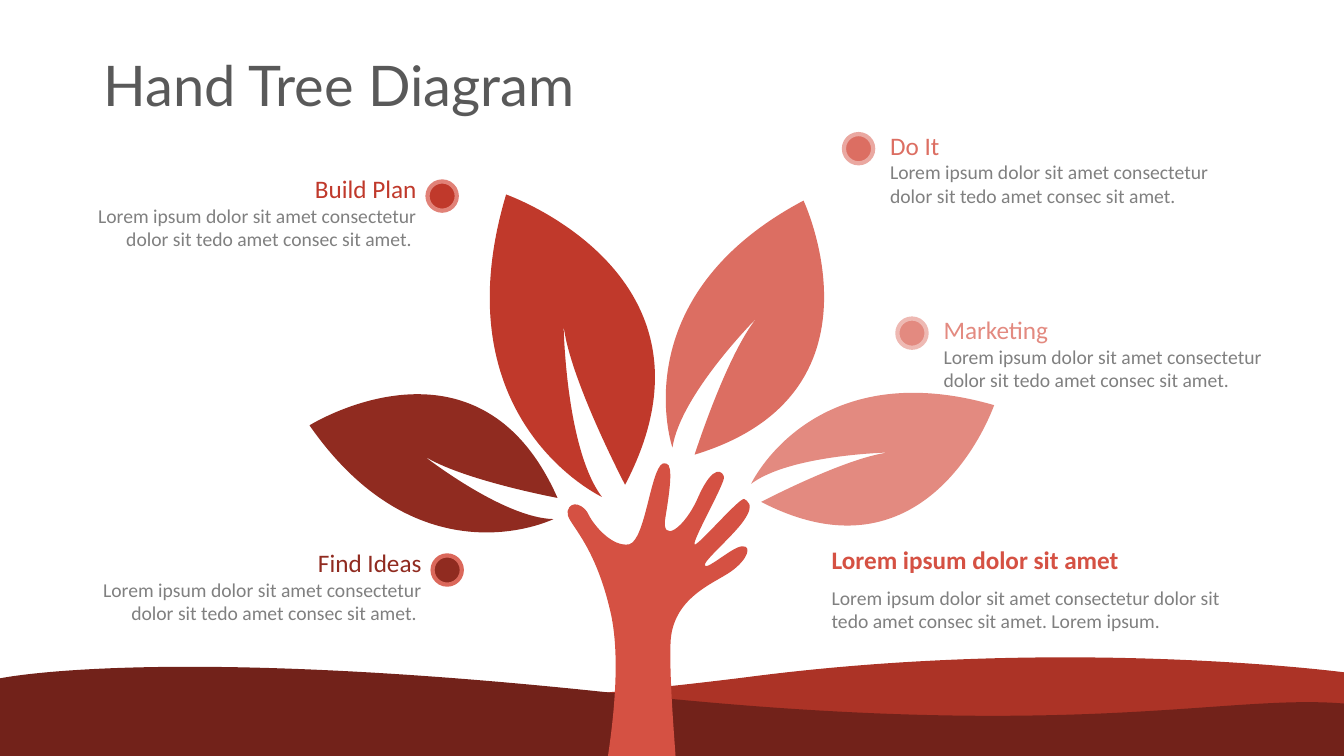
from dataclasses import dataclass

from lxml import etree
from pptx import Presentation
from pptx.dml.color import RGBColor
from pptx.enum.shapes import MSO_SHAPE
from pptx.enum.text import MSO_ANCHOR, MSO_AUTO_SIZE, PP_ALIGN
from pptx.oxml.ns import qn
from pptx.util import Inches, Pt


@dataclass(frozen=True)
class Theme:
    title_font: str = "Lato"
    body_font: str = "Calibri"
    title_size: int = 40
    head_size: int = 18
    body_size: int = 14
    title: str = "595959"
    body: str = "808080"
    far_hill: str = "AC3326"
    near_hill: str = "72221A"
    hand: str = "D55143"
    find: str = "902B20"
    find_ring: str = "DB685B"
    build: str = "C0392B"
    build_ring: str = "E18278"
    do_it: str = "DC6E62"
    do_it_ring: str = "EAA8A1"
    market: str = "E38A80"
    market_ring: str = "EEB9B3"


def bezier(p0, p1, p2, p3, t):
    u = 1 - t
    return tuple(u**3 * a + 3 * u * u * t * b + 3 * u * t * t * c + t**3 * d
                 for a, b, c, d in zip(p0, p1, p2, p3))


class TreeSlide:
    def __init__(self, slide, theme):
        self.shapes = slide.shapes
        self.theme = theme

    def paint(self, sp, color):
        sp.shadow.inherit = False
        sp.fill.solid()
        sp.fill.fore_color.rgb = RGBColor.from_string(color)
        sp.line.fill.background()

    def outline(self, color, start, curves, corners=()):
        """Draw a closed outline: cubic curves (two controls, end), then straight corners."""
        points, last = [], start
        for c1, c2, end in curves:
            points += [bezier(last, c1, c2, end, i / 24) for i in range(1, 25)]
            last = end
        points += corners
        builder = self.shapes.build_freeform(*map(Inches, start))
        builder.add_line_segments([(Inches(x), Inches(y)) for x, y in points], close=True)
        sp = builder.convert_to_shape()
        self.paint(sp, color)

        # The sampled points fix the frame; true curves now replace them.
        path_el = next(sp.element.iter(qn("a:path")))
        for node in list(path_el)[1:]:
            path_el.remove(node)
        steps = [("a:cubicBezTo", curve) for curve in curves]
        steps += [("a:lnTo", (corner,)) for corner in corners]
        for tag, ends in steps:
            node = etree.SubElement(path_el, qn(tag))
            for x, y in ends:
                etree.SubElement(node, qn("a:pt"), x=str(Inches(x) - sp.left),
                                 y=str(Inches(y) - sp.top))
        etree.SubElement(path_el, qn("a:close"))

    def leaf(self, color, base, *arcs):
        """Draw a leaf; each arc is (control, end) and leaves its start straight."""
        curves, last = [], base
        for control, end in arcs:
            curves.append((last, control, end))
            last = end
        self.outline(color, base, curves)

    def dot(self, left, top, color, ring):
        size = Inches(0.29)
        sp = self.shapes.add_shape(MSO_SHAPE.OVAL, Inches(left), Inches(top), size, size)
        self.paint(sp, color)
        sp.line.color.rgb = RGBColor.from_string(ring)
        sp.line.width = Pt(3)

    def text(self, box, words, size, color, font=None, bold=False, align=PP_ALIGN.LEFT):
        tf = self.shapes.add_textbox(*map(Inches, box)).text_frame
        tf.word_wrap = True
        tf.auto_size = MSO_AUTO_SIZE.SHAPE_TO_FIT_TEXT
        p = tf.paragraphs[0]
        p.alignment = align
        r = p.add_run()
        r.text = words
        r.font.name = font or self.theme.body_font
        r.font.size = Pt(size)
        r.font.bold = bold
        r.font.color.rgb = RGBColor.from_string(color)
        return tf

    def title(self, words):
        t = self.theme
        tf = self.text((0.93, 0.55, 11.56, 0.65), words, t.title_size, t.title, t.title_font)
        tf.auto_size = MSO_AUTO_SIZE.NONE
        tf.vertical_anchor = MSO_ANCHOR.MIDDLE
        tf.paragraphs[0].line_spacing = 0.9

    def note(self, left, top, head, body, color, width=3.5, gap=0.3, bold=False,
             align=PP_ALIGN.LEFT):
        t = self.theme
        self.text((left, top, width, 0.4), head, t.head_size, color, bold=bold, align=align)
        self.text((left, top + gap, width, 0.57), body, t.body_size, t.body, align=align)

    def left_note(self, left, top, head, body, color, ring):
        self.dot(left + 3.51, top + 0.13, color, ring)
        self.note(left, top, head, body, color, align=PP_ALIGN.RIGHT)

    def right_note(self, left, top, head, body, color, ring):
        self.dot(left - 0.36, top + 0.09, color, ring)
        self.note(left, top, head, body, color)


HAND_CURVES = [
    ((6.68, 4.61), (6.64, 4.89), (6.6, 5.13)),
    ((6.55, 5.4), (6.79, 5.25), (6.93, 4.92)),
    ((7.08, 4.59), (7.17, 4.68), (7.18, 4.73)),
    ((7.2, 4.78), (6.86, 5.37), (6.89, 5.4)),
    ((6.91, 5.43), (7.33, 4.94), (7.38, 4.95)),
    ((7.41, 4.97), (7.49, 5), (7.38, 5.16)),
    ((7.28, 5.31), (6.97, 5.57), (6.99, 5.61)),
    ((7.01, 5.66), (7.27, 5.42), (7.36, 5.42)),
    ((7.46, 5.41), (7.42, 5.55), (7.25, 5.67)),
    ((7.08, 5.79), (6.66, 5.93), (6.65, 6.39)),
    ((6.64, 6.71), (6.68, 7.21), (6.7, 7.5)),
    ((6.48, 7.5), (6.25, 7.5), (6.03, 7.5)),
    ((6.1, 7.03), (6.15, 6.46), (6.05, 6.05)),
    ((5.88, 5.33), (5.6, 5.18), (5.63, 5.07)),
    ((5.66, 4.95), (5.8, 5.01), (5.84, 5.11)),
    ((5.89, 5.21), (6.07, 5.43), (6.24, 5.4)),
    ((6.4, 5.36), (6.45, 4.67), (6.57, 4.6)),
    ((6.58, 4.6), (6.6, 4.59), (6.61, 4.6)),
]


def main():
    prs = Presentation()
    prs.slide_width, prs.slide_height = Inches(13.33), Inches(7.5)
    t = Theme()
    s = TreeSlide(prs.slides.add_slide(prs.slide_layouts[6]), t)

    s.title("Hand Tree Diagram")

    s.outline(t.far_hill, (13.33, 6.67), [
        ((13.33, 6.67), (10.6, 6.31), (7.47, 6.71)),
        ((4.34, 7.11), (1.25, 7.12), (0, 7.25)),
        ((-1.25, 7.39), (0, 7.5), (0, 7.5)),
    ], [(13.33, 7.5)])
    s.outline(t.near_hill, (0, 6.73), [
        ((0, 6.73), (1.59, 6.39), (6.13, 6.88)),
        ((10.66, 7.37), (12.13, 6.88), (13.33, 6.98)),
        ((14.53, 7.09), (13.33, 7.51), (13.33, 7.51)),
    ], [(0, 7.51)])
    s.outline(t.hand, (6.61, 4.6), HAND_CURVES)

    s.leaf(t.find, (5.49, 5.15), ((4.17, 5.8), (3.07, 4.22)), ((4.75, 3.17), (5.53, 4.94)),
           ((4.57, 4.76), (4.2, 4.52)), ((4.99, 5.14), (5.49, 5.15)))
    s.leaf(t.build, (5.97, 4.93), ((4.35, 4.17), (5.02, 1.93)), ((7.29, 2.73), (6.2, 4.81)),
           ((5.65, 3.76), (5.59, 3.23)), ((5.61, 4.45), (5.97, 4.93)))
    s.leaf(t.do_it, (6.67, 4.44), ((6.16, 2.95), (7.97, 1.99)), ((8.87, 3.91), (6.89, 4.51)),
           ((7.21, 3.51), (7.51, 3.15)), ((6.75, 3.91), (6.67, 4.44)))
    s.leaf(t.market, (7.45, 4.8), ((8.06, 3.5), (9.86, 4.02)), ((9.23, 5.85), (7.55, 4.98)),
           ((8.39, 4.54), (8.81, 4.49)), ((7.84, 4.51), (7.45, 4.8)))

    body = "Lorem ipsum dolor sit amet consectetur dolor sit tedo amet consec sit amet."
    s.left_note(0.73, 1.67, "Build Plan", body + " ", t.build, t.build_ring)
    s.left_note(0.78, 5.38, "Find Ideas", body + " ", t.find, t.find_ring)
    s.right_note(8.73, 1.24, "Do It", body, t.do_it, t.do_it_ring)
    s.right_note(9.26, 3.07, "Marketing", body, t.market, t.market_ring)
    s.note(8.15, 5.35, "Lorem ipsum dolor sit amet", body + " Lorem ipsum.", t.hand,
           width=4.26, gap=0.41, bold=True)

    prs.save("out.pptx")


if __name__ == "__main__":
    main()
